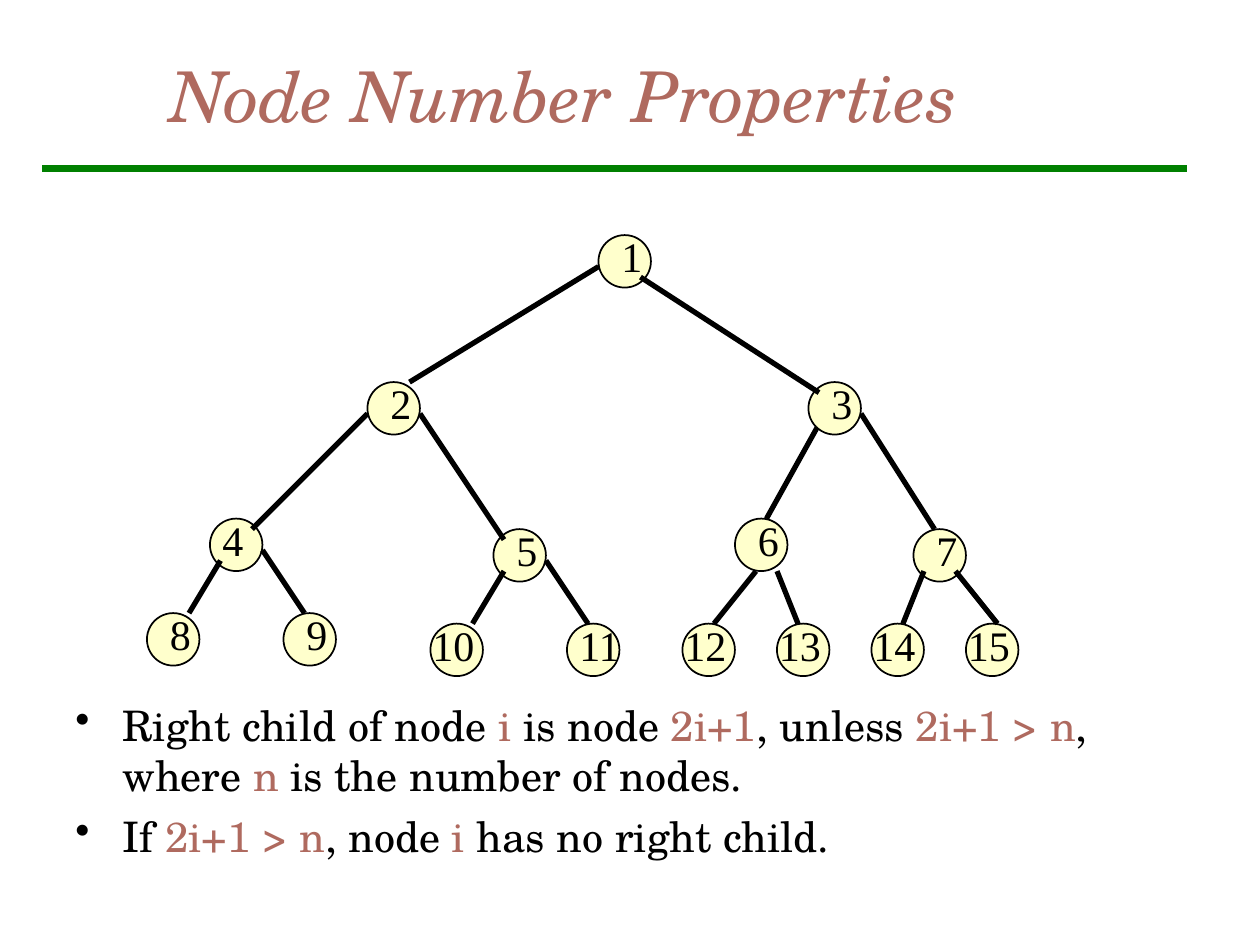
from lxml import etree
from pptx import Presentation
from pptx.dml.color import RGBColor
from pptx.enum import shapes, text
from pptx.oxml import ns
from pptx.util import Cm, Pt

TITLE = "Node Number Properties"
BLACK, RUST, GREEN, CREAM = "000000", "AF6A5F", "008000", "FFFFCC"
SERIF, DIGITS = "TeX Gyre Schola", "Times New Roman"

# Bullets as runs: (text, colour)
BULLETS = [
    [("Right child of node ", BLACK), ("i ", RUST), ("is node ", BLACK),
     ("2i+1", RUST), (", unless ", BLACK), ("2i+1 > n", RUST),
     (", where ", BLACK), ("n", RUST), (" is the number of nodes.", BLACK)],
    [("If ", BLACK), ("2i+1 > n", RUST), (", node", BLACK), (" i", RUST),
     (" has no right child.", BLACK)],
]

# The tree lies on a grid of 1/12 inch cells, with row 0 at the top of the root.
CELL, TREE_TOP, DIAMETER = 2.54 / 12, 4.74, 5
# node: (column, row, label shift in columns)
NODES = {
    1: (57, 0, 1),
    2: (35, 14, 1), 3: (77, 14, 1),
    4: (20, 27, 0), 5: (47, 28, 1), 6: (70, 27, 1), 7: (87, 28, 1),
    8: (14, 36, 1), 9: (27, 36, 1), 10: (41, 37, -1), 11: (54, 37, 0),
    12: (65, 37, -1), 13: (74, 37, -1), 14: (83, 37, -1), 15: (92, 37, -1),
}
# child: start at its parent, end at the child, as (column, row)
EDGES = {
    2: ((57, 3), (39, 14)), 3: ((61, 4), (78, 15)),
    4: ((35, 17), (24, 28)), 5: ((40, 17), (48, 29)),
    6: ((78, 18), (73, 27)), 7: ((82, 17), (89, 28)),
    8: ((21, 31), (18, 36)), 9: ((25, 30), (29, 36)),
    10: ((48, 32), (45, 37)), 11: ((52, 31), (56, 37)),
    12: ((72, 32), (68, 37)), 13: ((74, 32), (76, 37)),
    14: ((88, 32), (86, 37)), 15: ((91, 32), (95, 37)),
}
LAYERS = [range(4, 8), range(1, 4), range(8, 16)]  # back to front


def colour(value):
    return RGBColor.from_string(value)


def grid(column, row):
    return Cm(column * CELL), Cm(TREE_TOP + row * CELL)


def add_line(slide, start, end, line_colour, width):
    line = slide.shapes.add_connector(shapes.MSO_CONNECTOR.STRAIGHT, *start, *end)
    line.line.color.rgb = colour(line_colour)
    line.line.width = Pt(width)
    etree.SubElement(line._element.spPr, ns.qn("a:effectLst"))


def add_box(slide, left, top, width, height, anchor=text.MSO_ANCHOR.TOP):
    frame = slide.shapes.add_textbox(left, top, width, height).text_frame
    frame.word_wrap = True
    frame.vertical_anchor = anchor
    return frame


def add_span(para, words, span_colour, **font_values):
    span = para.add_run()
    span.text = words
    span.font.color.rgb = colour(span_colour)
    for name, value in font_values.items():
        setattr(span.font, name, value)


def add_bullet(para):
    props = para._p.get_or_add_pPr()
    for name, value in {"marL": Cm(0.95), "indent": -Cm(0.95)}.items():
        props.set(name, str(int(value)))
    bullet_colour = etree.SubElement(props, ns.qn("a:buClr"))
    etree.SubElement(bullet_colour, ns.qn("a:srgbClr"), val=BLACK)
    etree.SubElement(props, ns.qn("a:buChar"), char="•")


def add_node(slide, number):
    column, row, _ = NODES[number]
    size = Cm(DIAMETER * CELL)
    node = slide.shapes.add_shape(shapes.MSO_SHAPE.OVAL, *grid(column, row), size, size)
    node.shadow.inherit = False
    node.fill.solid()
    node.fill.fore_color.rgb = colour(CREAM)
    node.line.color.rgb = colour(BLACK)
    node.line.width = Pt(1)


def add_label(slide, number):
    column, row, shift = NODES[number]
    width = 4 * len(str(number))
    frame = add_box(slide, *grid(column + shift, row - 1), Cm(width * CELL), Cm(6 * CELL))
    add_span(frame.paragraphs[0], str(number), BLACK, name=DIGITS, size=Pt(24))


def main():
    deck = Presentation()
    deck.slide_width, deck.slide_height = Cm(25.4), Cm(19.05)
    slide = deck.slides.add_slide(deck.slide_layouts[6])

    add_line(slide, (Cm(0.85), Cm(3.39)), (Cm(23.92), Cm(3.39)), GREEN, 4)
    heading = add_box(slide, Cm(3.18), Cm(0.64), Cm(21.59), Cm(2.54),
                      text.MSO_ANCHOR.MIDDLE)
    add_span(heading.paragraphs[0], TITLE, RUST, name=SERIF, size=Pt(40), italic=True)

    body = add_box(slide, Cm(1.27), Cm(13.97), Cm(23.06), Cm(4.45))
    for index, spans in enumerate(BULLETS):
        para = body.add_paragraph() if index else body.paragraphs[0]
        add_bullet(para)
        if index:
            para.space_before = Pt(6)
        for words, span_colour in spans:
            add_span(para, words, span_colour, name=SERIF, size=Pt(24))

    for layer in LAYERS:
        for number in layer:
            add_node(slide, number)
        for number in layer:
            if number in EDGES:
                start, end = EDGES[number]
                add_line(slide, grid(*start), grid(*end), BLACK, 3)
    for number in NODES:
        add_label(slide, number)

    deck.save("out.pptx")


if __name__ == "__main__":
    main()
